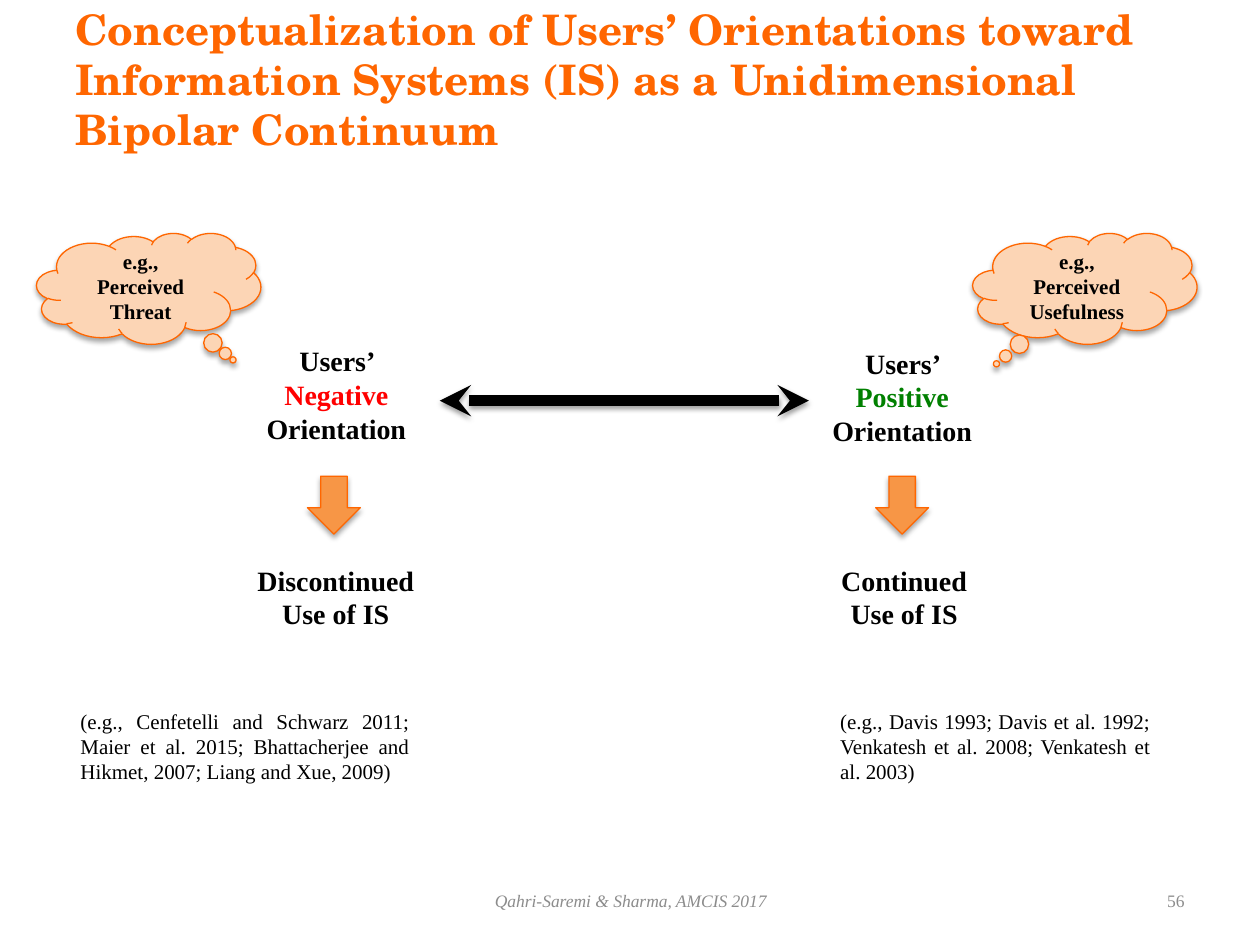
from lxml.etree import SubElement
from pptx import Presentation
from pptx.dml.color import RGBColor
from pptx.enum.shapes import MSO_CONNECTOR, MSO_SHAPE
from pptx.enum.text import MSO_ANCHOR, PP_ALIGN
from pptx.oxml.ns import qn
from pptx.util import Inches, Pt

SERIF = "Times New Roman"
BLACK, ORANGE, GRAY = "000000", "FF6600", "8C8C8C"
ARROW_FILL, CLOUD_FILL = "F79646", "FCD5B5"

TITLE = ("Conceptualization of Users’ Orientations toward Information Systems (IS) "
         "as a Unidimensional Bipolar Continuum")
FOOTER = "Qahri-Saremi & Sharma, AMCIS 2017"
PAGE_NUMBER = "56"

POLES = [
    dict(orientation="Negative", color="FF0000", orientation_at=(1.87, 2.68, 1.6, 0.91),
         use="Discontinued Use of IS", use_at=(1.83, 4.42, 1.67, 0.64), arrow_left=2.44,
         belief="e.g., Perceived Threat", cloud_left=0.29, tail=(0.376, 0.644),
         sources="(e.g., Cenfetelli and Schwarz 2011; Maier et al. 2015; "
                 "Bhattacherjee and Hikmet, 2007; Liang and Xue, 2009)",
         sources_at=(0.54, 5.57, 2.81, 0.71)),
    dict(orientation="Positive", color="008000", orientation_at=(6.45, 2.7, 1.42, 0.91),
         use="Continued Use of IS", use_at=(6.45, 4.42, 1.45, 0.64), arrow_left=6.95,
         belief="e.g., Perceived Usefulness", cloud_left=7.72, tail=(-0.394, 0.679),
         sources="(e.g., Davis 1993; Davis et al. 1992; Venkatesh et al. 2008; "
                 "Venkatesh et al. 2003)",
         sources_at=(6.57, 5.57, 2.66, 0.71)),
]


def rgb(value):
    return RGBColor.from_string(value)


def write(shape, runs, size, align, anchor=MSO_ANCHOR.TOP, font=SERIF, bold=False, italic=False):
    frame = shape.text_frame
    frame.word_wrap = True
    frame.vertical_anchor = anchor
    paragraph = frame.paragraphs[0]
    paragraph.alignment = align
    for text, color in runs:
        run = paragraph.add_run()
        run.text = text
        run.font.name = font
        run.font.size = Pt(size)
        run.font.bold = bold
        run.font.italic = italic
        run.font.color.rgb = rgb(color)


def add_text(slide, at, *args, **style):
    write(slide.shapes.add_textbox(*map(Inches, at)), *args, **style)


def cast_shadow(effects, distance, opacity):
    shadow = SubElement(effects, qn("a:outerShdw"), blurRad=str(Pt(3.1)), dist=str(Pt(distance)),
                        dir="5400000", rotWithShape="0")
    color = SubElement(shadow, qn("a:srgbClr"), val=BLACK)
    SubElement(color, qn("a:alpha"), val=str(opacity * 1000))


def add_figure(slide, preset, at, fill):
    shape = slide.shapes.add_shape(preset, *map(Inches, at))
    shape.fill.solid()
    shape.fill.fore_color.rgb = rgb(fill)
    shape.line.color.rgb = rgb(ORANGE)
    shape.line.width = Pt(0.75)
    shape.shadow.inherit = False
    cast_shadow(shape._element.spPr.find(qn("a:effectLst")), 1.8, 35)
    return shape


def add_continuum(slide):
    y = Inches(3.18)
    continuum = slide.shapes.add_connector(MSO_CONNECTOR.STRAIGHT, Inches(3.49), y, Inches(6.42), y)
    continuum.line.color.rgb = rgb(BLACK)
    continuum.line.width = Pt(6)
    line = continuum.line._get_or_add_ln()
    for end in ("a:headEnd", "a:tailEnd"):
        SubElement(line, qn(end), type="stealth")
    cast_shadow(SubElement(continuum._element.spPr, qn("a:effectLst")), 1.6, 38)


def add_pole(slide, pole):
    runs = [("Users’ ", BLACK), (pole["orientation"], pole["color"]), (" Orientation", BLACK)]
    add_text(slide, pole["orientation_at"], runs, 16, PP_ALIGN.CENTER, bold=True)
    add_text(slide, pole["use_at"], [(pole["use"], BLACK)], 16, PP_ALIGN.CENTER, bold=True)
    add_text(slide, pole["sources_at"], [(pole["sources"], BLACK)], 12, PP_ALIGN.JUSTIFY)
    add_figure(slide, MSO_SHAPE.DOWN_ARROW, (pole["arrow_left"], 3.78, 0.42, 0.46), ARROW_FILL)
    cloud = add_figure(slide, MSO_SHAPE.CLOUD_CALLOUT, (pole["cloud_left"], 1.85, 1.78, 0.88),
                       CLOUD_FILL)
    cloud.adjustments[0], cloud.adjustments[1] = pole["tail"]
    write(cloud, [(pole["belief"], BLACK)], 12, PP_ALIGN.CENTER, MSO_ANCHOR.MIDDLE, bold=True)


def main():
    deck = Presentation()
    deck.slide_width, deck.slide_height = Inches(10), Inches(7.5)
    slide = deck.slides.add_slide(deck.slide_layouts[6])
    add_text(slide, (0.5, 0.16, 9, 0.93), [(TITLE, ORANGE)], 24, PP_ALIGN.LEFT,
             MSO_ANCHOR.MIDDLE, font="TeX Gyre Schola", bold=True)
    add_continuum(slide)
    for pole in POLES:
        add_pole(slide, pole)
    add_text(slide, (3.42, 6.95, 3.17, 0.4), [(FOOTER, GRAY)], 10, PP_ALIGN.CENTER,
             MSO_ANCHOR.MIDDLE, italic=True)
    add_text(slide, (7.17, 6.95, 2.33, 0.4), [(PAGE_NUMBER, GRAY)], 10, PP_ALIGN.RIGHT,
             MSO_ANCHOR.MIDDLE)
    deck.save("out.pptx")


if __name__ == "__main__":
    main()
